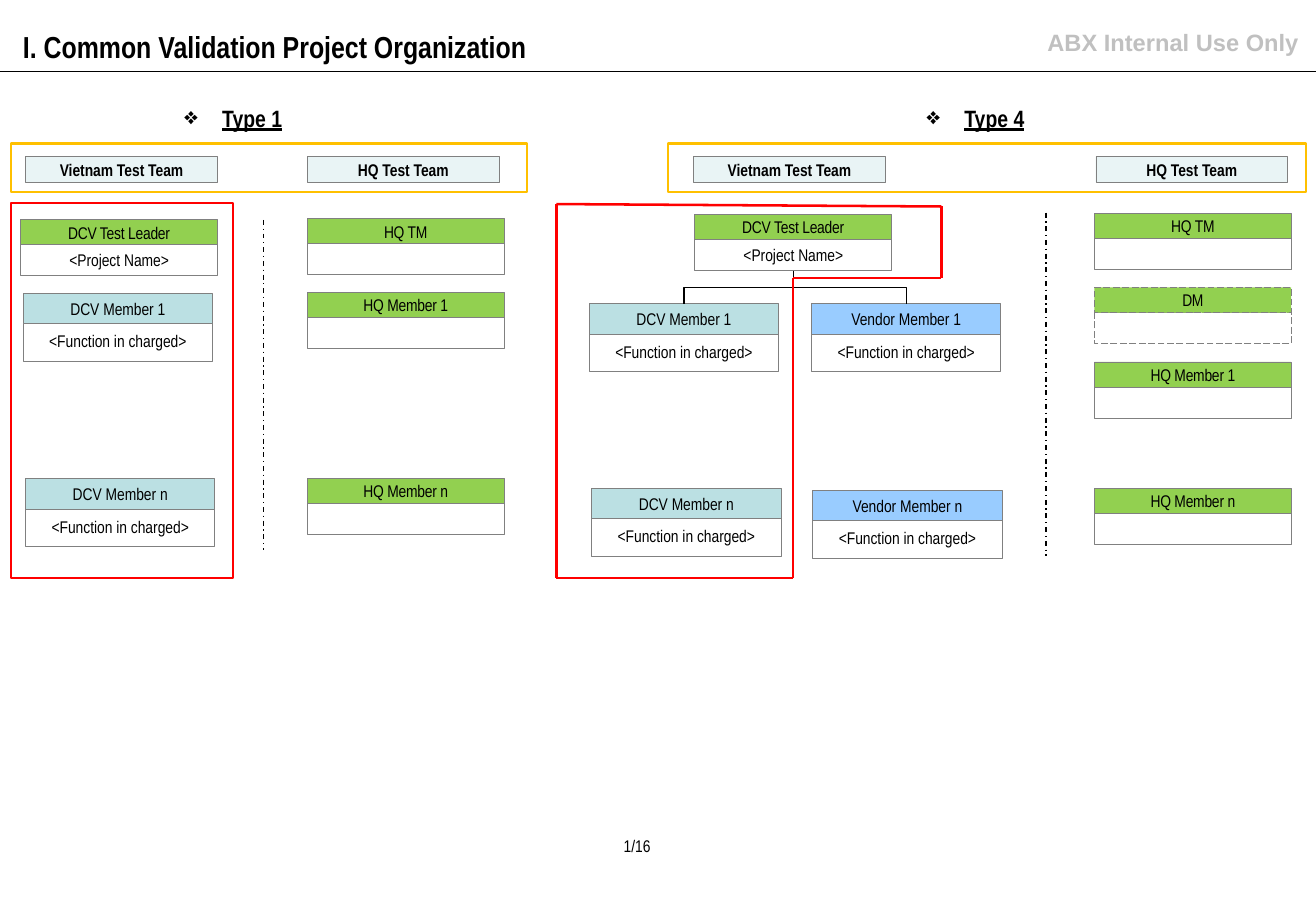
from lxml.etree import SubElement
from pptx import Presentation
from pptx.dml.color import RGBColor
from pptx.enum.dml import MSO_LINE
from pptx.enum.shapes import MSO_CONNECTOR, MSO_SHAPE
from pptx.enum.text import MSO_ANCHOR, MSO_AUTO_SIZE, PP_ALIGN
from pptx.oxml.ns import qn
from pptx.util import Inches, Pt

COLS, ROWS = 130, 90
UNIT = Inches(1) / 12
HUES = {
    "black": "000000", "gray": "808080", "pale": "C0C0C0", "mist": "E9F4F5",
    "teal": "BBE0E3", "green": "92D050", "blue": "99CCFF",
    "red": "FF0000", "amber": "FFC000",
}


def grid(*cells):
    return [round(cell * UNIT) for cell in cells]


def hue(name):
    return RGBColor.from_string(HUES[name])


class Chart:
    font = "Arial Narrow"

    def __init__(self, deck):
        self.slide = deck.slides.add_slide(deck.slide_layouts[6])
        self.shapes = self.slide.shapes

    def stroke(self, line, color, width, dash=None):
        line.color.rgb = hue(color)
        line.width = Pt(width)
        if dash:
            line.dash_style = dash

    def words(self, frame, text, size=10, bold=False, align=PP_ALIGN.CENTER,
              color="black", font=None, wrap=True):
        frame.word_wrap = wrap
        para = frame.paragraphs[0]
        para.text = text
        para.alignment = align
        para.font.name = font or self.font
        para.font.size = Pt(size)
        para.font.bold = bold
        para.font.color.rgb = hue(color)
        return para

    def label(self, box, text, **style):
        frame = self.shapes.add_textbox(*grid(*box)).text_frame
        para = self.words(frame, text, **style)
        frame.auto_size = MSO_AUTO_SIZE.SHAPE_TO_FIT_TEXT
        return para

    def topic(self, col, text):
        para = self.label((col, 9.72, 17.04, 4.08), text, size=14, bold=True,
                          align=PP_ALIGN.LEFT)
        para.font.underline = True
        props = para._p.get_or_add_pPr()
        props.set("marL", str(Inches(0.31)))
        props.set("indent", str(-Inches(0.31)))
        mark = SubElement(props, qn("a:buChar"))
        mark.set("char", "❖")
        props.insert(0, mark)

    def rect(self, box, fill=None, line="gray", width=0.5, dash=None,
             text="", tight=False, **style):
        shape = self.shapes.add_shape(MSO_SHAPE.RECTANGLE, *grid(*box))
        shape.shadow.inherit = False
        if fill:
            shape.fill.solid()
            shape.fill.fore_color.rgb = hue(fill)
        else:
            shape.fill.background()
        self.stroke(shape.line, line, width, dash)
        if text:
            shape.text_frame.vertical_anchor = MSO_ANCHOR.MIDDLE
            para = self.words(shape.text_frame, text, **style)
            if tight:
                para.runs[0]._r.get_or_add_rPr().set("spc", "-10")

    def team(self, col, text):
        self.rect((col, 15.48, 18.96, 2.52), "mist", width=0.25,
                  text=text, bold=True)

    def lead(self, col, row, head, body="", dash=None):
        self.rect((col, row + 2.45, 19.44, 3.1), dash=dash, text=body, wrap=False)
        self.rect((col, row, 19.44, 2.5), "green", dash=dash, text=head,
                  tight=True, wrap=False)

    def member(self, col, row, head, fill):
        self.rect((col, row + 2.7, 18.72, 4), text="<Function in charged>", wrap=False)
        self.rect((col, row, 18.72, 3), fill, text=head, wrap=False)

    def link(self, start, end, color="black", width=0.75, dash=None,
             kind=MSO_CONNECTOR.STRAIGHT):
        line = self.shapes.add_connector(kind, *grid(*start, *end))
        self.stroke(line.line, color, width, dash)
        SubElement(line._element.spPr, qn("a:effectLst"))
        return line

    def elbow(self, start, end):
        (left, top), (right, low) = start, end
        side = 1 if right > left else -1
        mid, row = (left + right) / 2, (top + low) / 2
        reach, drop = abs(right - left) / 2, (low - top) / 2
        line = self.link((mid + side * drop, row - reach),
                         (mid - side * drop, row + reach), kind=MSO_CONNECTOR.ELBOW)
        turn = 180 + side * 90
        line._element.spPr.find(qn("a:xfrm")).set("rot", str(turn * 60000))

    def fence(self, points):
        for start, end in zip(points, points[1:] + points[:1]):
            self.link(start, end, "red", 1.5)


def main():
    deck = Presentation()
    deck.slide_width, deck.slide_height = grid(COLS, ROWS)
    chart = Chart(deck)

    chart.link((0, 7.1), (COLS, 7.1))
    chart.label((93.84, 2.16, 35.64, 4.08), "ABX Internal Use Only", size=14,
                bold=True, align=PP_ALIGN.RIGHT, color="pale", font="Arial")
    chart.label((1.08, 2.16, 52.68, 4.8), "I. Common Validation Project Organization",
                size=18, bold=True, align=PP_ALIGN.LEFT, wrap=False)
    chart.label((57.96, 81.96, 9.96, 3.24), "1/16")

    for col, text in ((17.04, "Type 1"), (90.36, "Type 4")):
        chart.topic(col, text)
    for col, top, low in ((26.04, 21.72, 54.36), (103.32, 21, 54.96)):
        chart.link((col, top), (col, low), dash=MSO_LINE.DASH_DOT)
    for home, head in ((2.52, 30.36), (68.5, 108.24)):
        chart.team(home, "Vietnam Test Team")
        chart.team(head, "HQ Test Team")

    for col, row in ((2.04, 21.7), (68.64, 21.2)):
        chart.lead(col, row, "DCV Test Leader", "<Project Name>")
    for col, row, text in (
        (30.36, 21.6, "HQ TM"),
        (30.36, 28.9, "HQ Member 1"),
        (30.36, 47.25, "HQ Member n"),
        (108.12, 21.1, "HQ TM"),
        (108.12, 35.76, "HQ Member 1"),
        (108.12, 48.24, "HQ Member n"),
    ):
        chart.lead(col, row, text)
    chart.lead(108.12, 28.4, "DM", dash=MSO_LINE.LONG_DASH)

    for col, row, text, fill in (
        (2.28, 29, "DCV Member 1", "teal"),
        (2.52, 47.3, "DCV Member n", "teal"),
        (58.2, 30, "DCV Member 1", "teal"),
        (58.44, 48.24, "DCV Member n", "teal"),
        (80.16, 30, "Vendor Member 1", "blue"),
        (80.28, 48.45, "Vendor Member n", "blue"),
    ):
        chart.member(col, row, text, fill)

    for col in (67.56, 89.52):
        chart.elbow((78.36, 26.76), (col, 30))
    chart.rect((1.08, 20.04, 21.96, 37.08), line="red", width=1.5)
    chart.fence([(54.96, 20.16), (54.96, 57.12), (78.36, 57.12),
                 (78.36, 27.48), (93, 27.48), (93, 20.4)])
    for col, wide in ((1.08, 51), (66, 63)):
        chart.rect((col, 14.16, wide, 4.8), line="amber", width=1.5)

    deck.save("out.pptx")


if __name__ == "__main__":
    main()
